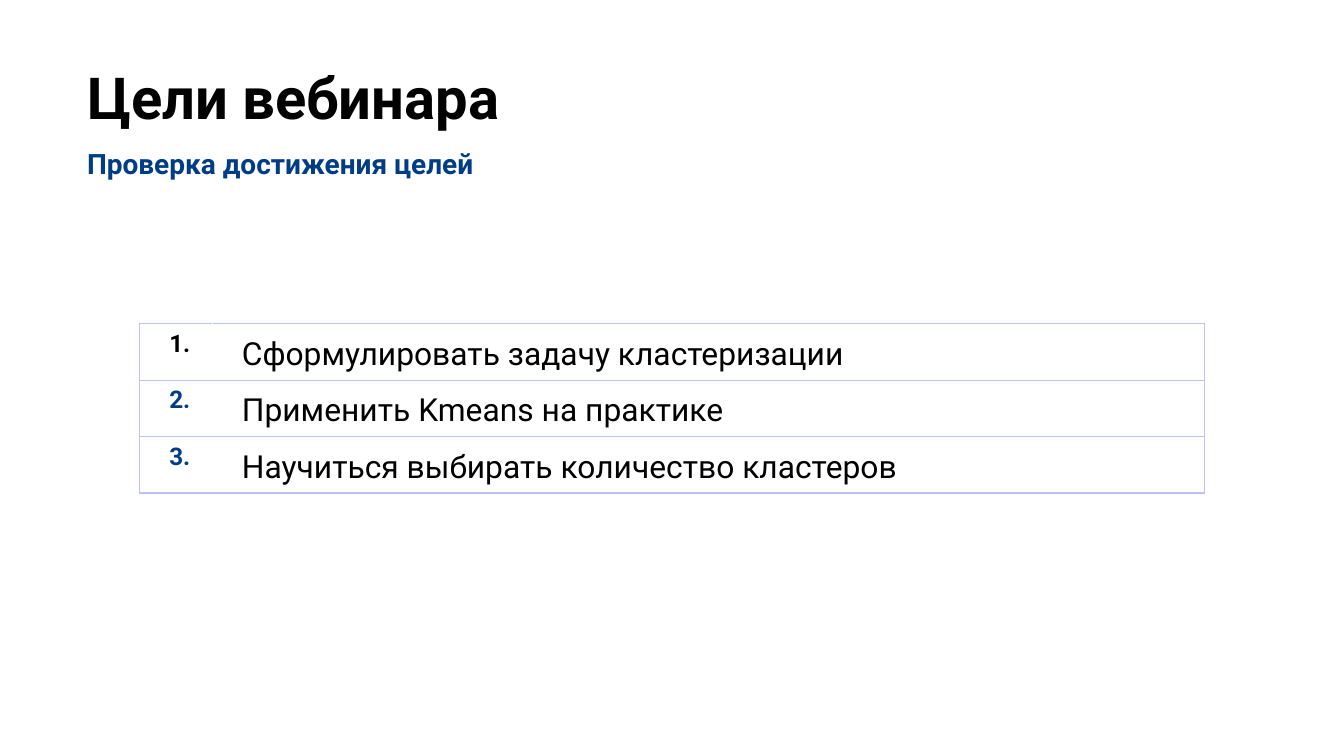
from lxml.etree import SubElement
from pptx import Presentation
from pptx.dml.color import RGBColor
from pptx.enum.text import MSO_ANCHOR, PP_ALIGN
from pptx.oxml.ns import qn
from pptx.util import Inches, Pt

TITLE = "Цели вебинара"
SUBTITLE = "Проверка достижения целей"
GOALS = [
    "Сформулировать задачу кластеризации",
    "Применить Kmeans на практике",
    "Научиться выбирать количество кластеров",
]
COLORS = {"text": "000000", "accent": "013D85", "border": "BFC1F0", "white": "FFFFFF"}
FONT = "Roboto"
SLIDE_WIDTH = 10
COLUMN_WIDTHS = (0.54, 7.38)
ROW_HEIGHT = 0.4


def write(frame, text, size, color, bold=False, spacing=1.0):
    paragraph = frame.paragraphs[0]
    paragraph.alignment = PP_ALIGN.LEFT
    paragraph.line_spacing = spacing
    run = paragraph.add_run()
    run.text = text
    run.font.name = FONT
    run.font.size = Pt(size)
    run.font.bold = bold
    run.font.color.rgb = RGBColor.from_string(COLORS[color])


def set_frame(frame):
    frame.word_wrap = True
    frame.vertical_anchor = MSO_ANCHOR.TOP
    frame.margin_left = frame.margin_right = Inches(0.1)
    frame.margin_top = frame.margin_bottom = Inches(0.1)


def set_borders(cell, **sides):
    properties = cell._tc.get_or_add_tcPr()
    for side in ("L", "R", "T", "B"):
        line = SubElement(properties, qn(f"a:ln{side}"), w=str(Pt(0.75)))
        fill = SubElement(line, qn("a:solidFill"))
        SubElement(fill, qn("a:srgbClr"), val=COLORS[sides.get(side, "border")])


def format_cell(cell, **sides):
    cell.margin_left, cell.margin_right = Inches(0.22), Inches(0.1)
    cell.margin_top = cell.margin_bottom = Pt(3.4)
    cell.vertical_anchor = MSO_ANCHOR.TOP
    set_borders(cell, **sides)
    cell.fill.background()


presentation = Presentation()
presentation.slide_width = Inches(SLIDE_WIDTH)
presentation.slide_height = Inches(SLIDE_WIDTH * 9 / 16)
slide = presentation.slides.add_slide(presentation.slide_layouts[5])

# Title
title = slide.shapes.title
title.left, title.top = Inches(0.55), Inches(0.36)
title.width, title.height = Inches(9.32), Inches(1.2)
set_frame(title.text_frame)
write(title.text_frame, TITLE, 31, "text", bold=True)

# Subtitle
subtitle = slide.shapes.add_textbox(Inches(0.55), Inches(0.94), Inches(8.53), Inches(0.87))
set_frame(subtitle.text_frame)
write(subtitle.text_frame, SUBTITLE, 15, "accent", bold=True, spacing=1.2)

# Numbered goals
goals = slide.shapes.add_table(
    len(GOALS), len(COLUMN_WIDTHS), Inches(1.04), Inches(2.41),
    Inches(sum(COLUMN_WIDTHS)), Inches(ROW_HEIGHT * len(GOALS)),
).table
goals.first_row = goals.horz_banding = False
for column, width in zip(goals.columns, COLUMN_WIDTHS):
    column.width = Inches(width)
for index, goal in enumerate(GOALS):
    goals.rows[index].height = Inches(ROW_HEIGHT)
    number_cell, goal_cell = goals.cell(index, 0), goals.cell(index, 1)
    format_cell(number_cell, R="white")
    format_cell(goal_cell, L="white")
    write(number_cell.text_frame, f"{index + 1}.", 13, "accent" if index else "text", bold=True)
    write(goal_cell.text_frame, goal, 17, "text", spacing=1.15)

presentation.save("out.pptx")
